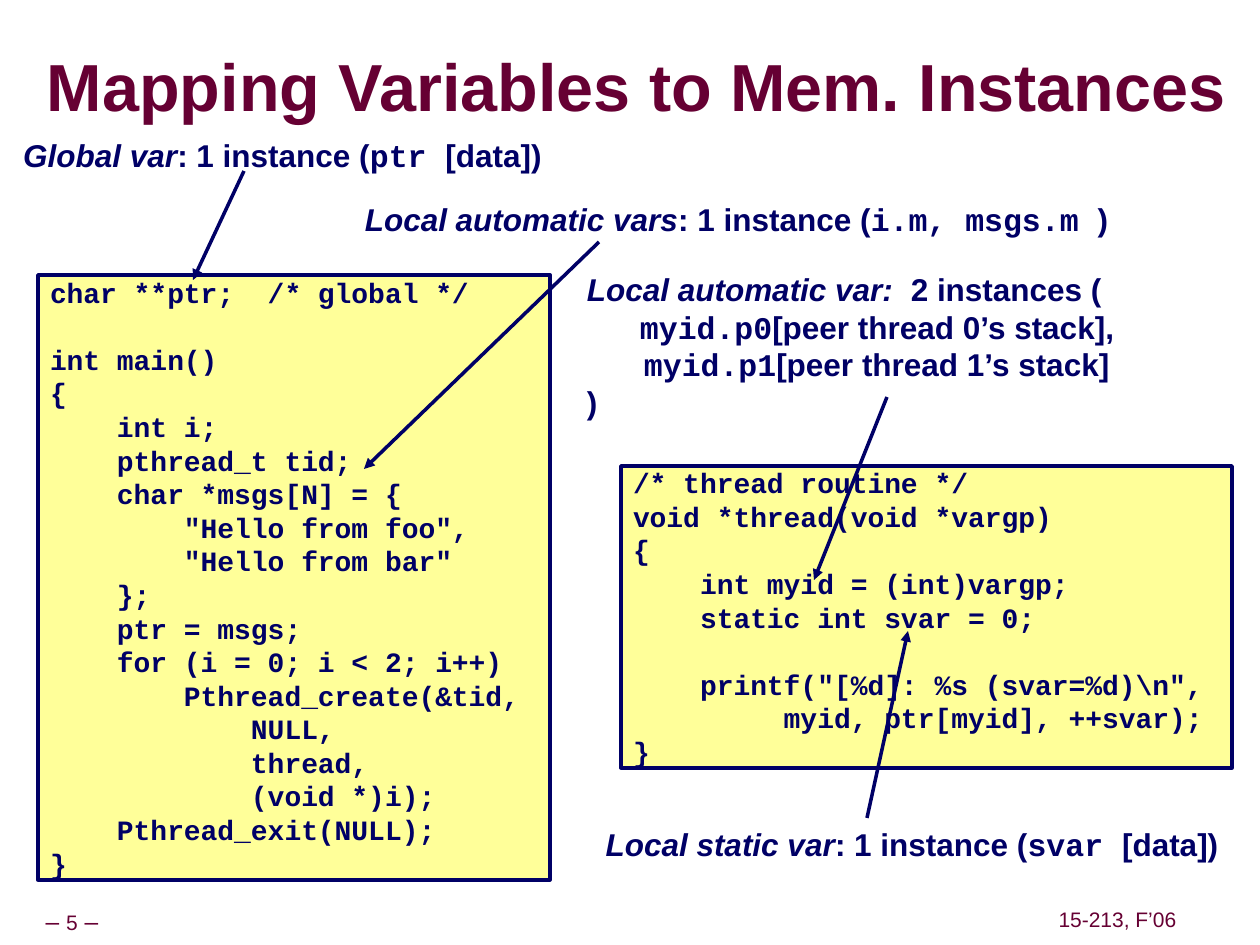
import pptx
import pptx.util
import pptx.dml.color
import pptx.enum.text
import pptx.enum.shapes
import pptx.oxml.ns
import lxml.etree

PX = 914400 / 126
HUES = {"wine": "660033", "navy": "000066", "cream": "FFFF99"}
SANS, MONO = "Arial", "Courier New"
ALIGN = pptx.enum.text.PP_ALIGN
BODY = {"size": 18, "bold": True, "hue": "navy", "name": SANS}
CODE = {"size": 16, "bold": True, "hue": "navy", "name": MONO}
HEAD = {"size": 38, "bold": True, "hue": "wine", "name": SANS}
FOOT = {"size": 12, "bold": False, "hue": "wine", "name": SANS}
ITAL = {"italic": True}
TYPE = {"name": MONO}

MAIN = """char **ptr;  /* global */

int main()
{
    int i;
    pthread_t tid;
    char *msgs[N] = {
        "Hello from foo",
        "Hello from bar"
    };
    ptr = msgs;
    for (i = 0; i < 2; i++)
        Pthread_create(&tid,
            NULL,
            thread,
            (void *)i);
    Pthread_exit(NULL);
}"""

THREAD = r"""/* thread routine */
void *thread(void *vargp)
{
    int myid = (int)vargp;
    static int svar = 0;

    printf("[%d]: %s (svar=%d)\n",
         myid, ptr[myid], ++svar);
}"""

# box, lines of (indent, runs), arrow start and end from the box corner
NOTES = [
    ((11, 136, 543, 38),
     [(0, [("Global var", ITAL), (": 1 instance (", {}), ("ptr ", TYPE), ("[data])", {})])],
     (233, 35), (182, 144)),
    ((593, 825, 638, 38),
     [(0, [("Local static var", ITAL), (": 1 instance (", {}), ("svar ", TYPE), ("[data])", {})])],
     (274, -7), (315, -194)),
    ((352, 200, 769, 38),
     [(0, [("Local automatic vars", ITAL), (": 1 instance (", {}), ("i.m, msgs.m ", TYPE), (")", {})])],
     (247, 42), (12, 269)),
    ((575, 270, 572, 151),
     [(0, [("Local automatic var:", ITAL), ("  2 instances (", {})]),
      (53, [("myid.p0", TYPE), ("[peer thread 0’s stack],", {})]),
      (57, [("myid.p1", TYPE), ("[peer thread 1’s stack]", {})]),
      (0, [(")", {})])],
     (312, 127), (239, 310)),
]


def emu(*nums):
    return [pptx.util.Emu(round(n * PX)) for n in nums]


def tint(name):
    return pptx.dml.color.RGBColor.from_string(HUES[name])


def style(font, form):
    for key, val in form.items():
        if key == "hue":
            font.color.rgb = tint(val)
        else:
            setattr(font, key, pptx.util.Pt(val) if key == "size" else val)


def write(shape, lines, base, align=ALIGN.LEFT, wrap=True, pad=12, space=None):
    """Fill a shape with lines of (indent, [(text, format), ...])."""
    frame = shape.text_frame
    side = emu(pad)[0]
    form = {"margin_left": side, "margin_right": side, "margin_top": 0,
            "margin_bottom": 0, "word_wrap": wrap,
            "auto_size": pptx.enum.text.MSO_AUTO_SIZE.NONE,
            "vertical_anchor": pptx.enum.text.MSO_ANCHOR.MIDDLE}
    for key, val in form.items():
        setattr(frame, key, val)
    for num, (indent, runs) in enumerate(lines):
        para = frame.add_paragraph() if num else frame.paragraphs[0]
        para.alignment = align
        if space:
            para.line_spacing = space
        if indent:
            para._p.get_or_add_pPr().set("marL", str(emu(indent)[0]))
        style(para.font, base)
        for text, extra in runs:
            run = para.add_run()
            run.text = text
            style(run.font, {**base, **extra})


def title(slide, box, text):
    head = slide.shapes.title
    head.left, head.top, head.width, head.height = emu(*box)
    write(head, [(0, [(text, {})])], HEAD, pad=0, space=0.87)


def code(slide, box, text):
    rect = slide.shapes.add_shape(pptx.enum.shapes.MSO_SHAPE.RECTANGLE, *emu(*box))
    rect.shadow.inherit = False
    rect.fill.solid()
    rect.fill.fore_color.rgb = tint("cream")
    rect.line.color.rgb = tint("navy")
    rect.line.width = pptx.util.Pt(2)
    rows = [(0, [(row, {})] if row else []) for row in text.split("\n")]
    write(rect, rows, CODE)


def arrow(slide, start, end):
    kind = pptx.enum.shapes.MSO_CONNECTOR.STRAIGHT
    link = slide.shapes.add_connector(kind, *emu(*start, *end))
    link.line.color.rgb = tint("navy")
    link.line.width = pptx.util.Pt(2)
    name = pptx.oxml.ns.qn
    tip = lxml.etree.SubElement(link.line._get_or_add_ln(), name("a:tailEnd"))
    tip.set("type", "triangle")
    lxml.etree.SubElement(link._element.spPr, name("a:effectLst"))


def note(slide, box, lines, start, end):
    """Place a label and the arrow from it to the code."""
    many = len(lines) > 1
    write(slide.shapes.add_textbox(*emu(*box)), lines, BODY,
          ALIGN.LEFT if many else ALIGN.CENTER, many)
    left, top = box[:2]
    arrow(slide, *[(left + x, top + y) for x, y in (start, end)])


def foot(slide, box, runs):
    write(slide.shapes.add_textbox(*emu(*box)), [(0, runs)], FOOT,
          ALIGN.CENTER, False, 6, 0.9)


def main():
    deck = pptx.Presentation()
    deck.slide_width, deck.slide_height = emu(1260, 945)
    slide = deck.slides.add_slide(deck.slide_layouts[5])
    big = {"size": 14}
    foot(slide, (-3, 903, 150, 39), [("– ", big), ("5", {}), (" –", big)])
    foot(slide, (1052, 903, 131, 35), [("15-213, F’06", {})])
    title(slide, (47, 37, 1236, 107), "Mapping Variables to Mem. Instances")
    code(slide, (38, 275, 512, 605), MAIN)
    code(slide, (621, 466, 611, 302), THREAD)
    for item in NOTES:
        note(slide, *item)
    deck.save("out.pptx")


if __name__ == "__main__":
    main()
